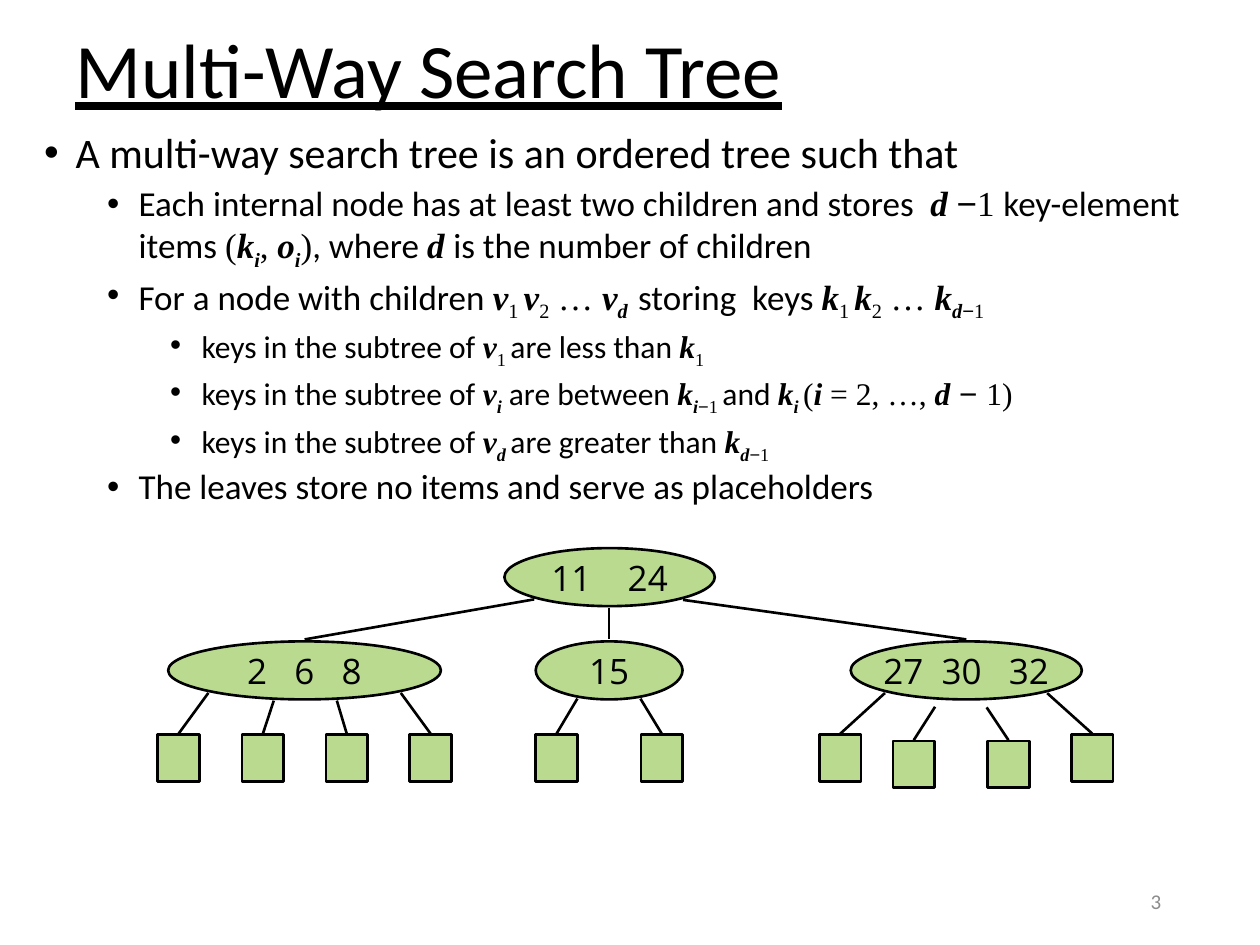
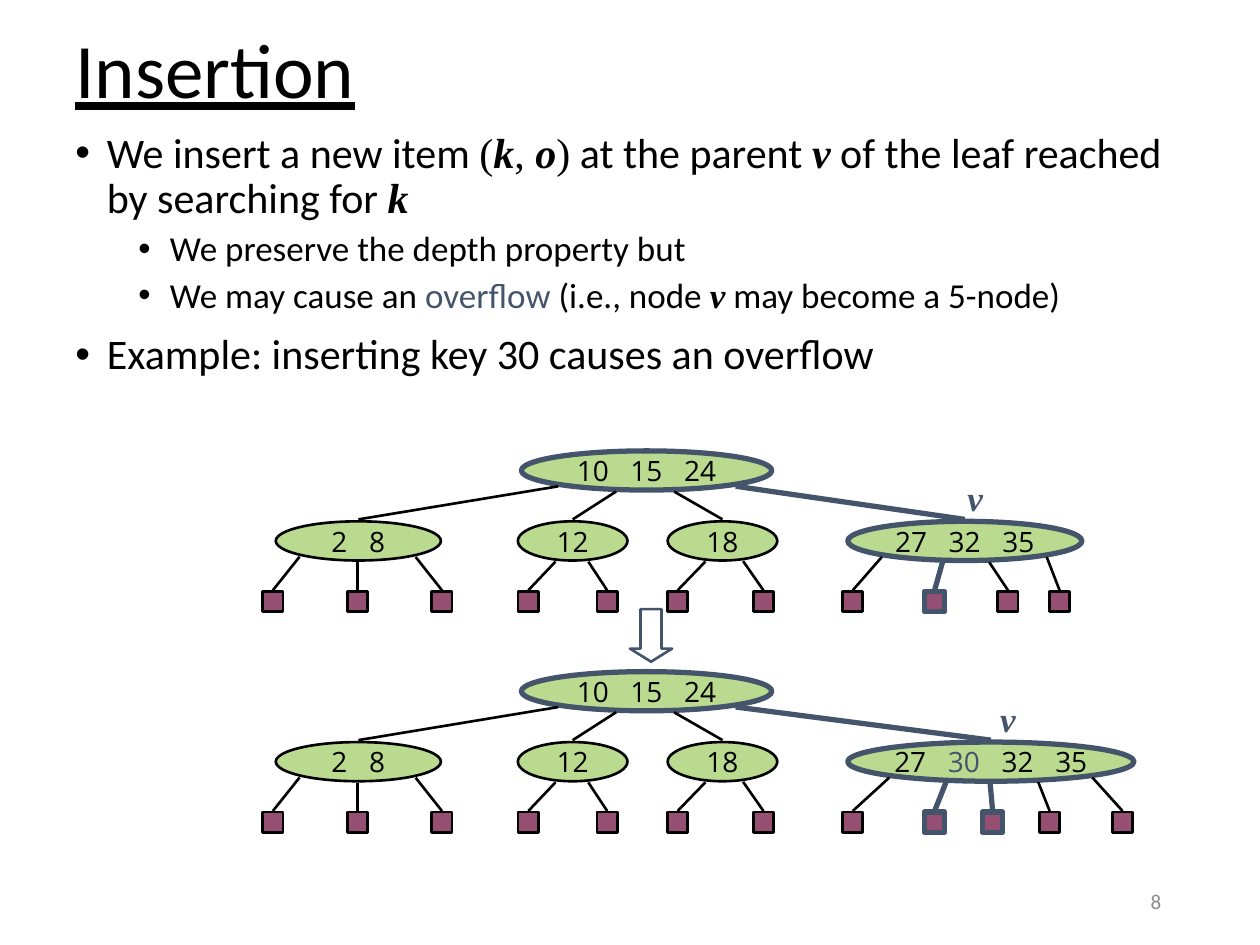
from collections import namedtuple
from math import sqrt

from pptx import Presentation
from pptx import util as u
from pptx.dml import color
from pptx.enum import shapes, text
from pptx.oxml import ns, xmlchemy

BLACK, SLATE, GREY = "000000", "44546A", "8C8C8C"
GREEN, PLUM = "B9DA8F", "954F72"
BODY_FONT, MATH_FONT, KEY_FONT = "Calibri", "Times New Roman", "Open Sans"
BODY_SIZES = (24, 20, 18)
LINK_GAP = 0.04

Node = namedtuple("Node", "keys left width leaves marked label_left", defaults=(False, None))
Leaf = namedtuple("Leaf", "centre exit marked drop", defaults=(False, 0))
Root = namedtuple("Root", "keys left width exits marked", defaults=(False,))
Style = namedtuple("Style", "oval_height level_drop leaf_top leaf_width leaf_height key_size leaf_fill")

LARGE = Style(1.17, 1.88, 3.76, 0.84, 0.94, 20, GREEN)
SMALL = Style(0.79, 1.42, 2.83, 0.41, 0.41, 16, PLUM)

SEARCH_POINTS = [
    (0, "A multi-way search tree is an ordered tree such that"),
    (1, "Each internal node has at least two children and stores  {v:d }{a:−}{t:1 }key-element items "
        "{t:(}{v:k}{v_:i}{t:, }{v:o}{v_:i}{t:)}, where {v:d }is the number of children"),
    (1, "For a node with children {v:v}{t_:1 }{v:v}{t_:2}{t: … }{v:v}{v_:d  }storing  keys "
        "{v:k}{t_:1 }{v:k}{t_:2}{t: … }{v:k}{v_:d}{a_:−}{t_:1}"),
    (2, "keys in the subtree of {v:v}{t_:1 }are less than {v:k}{t_:1}"),
    (2, "keys in the subtree of {v:v}{v_:i} are between {v:k}{v_:i}{a_:−}{t_:1 }and "
        "{v:k}{v_:i }{t:(}{v:i}{t: = 2, …, }{v:d}{a: − }{t:1)}"),
    (2, "keys in the subtree of {v:v}{v_:d }are greater than {v:k}{v_:d}{a_:−}{t_:1}"),
    (1, "The leaves store no items and serve as placeholders"),
]
SEARCH_ROOT = Root("11    24", 6.99, 4.24, (7.59, 9.1, 10.59))
SEARCH_NODES = [
    Node("2   6   8", 0.21, 5.5,
         [Leaf(0.42, 1.02), Leaf(2.12, 2.34), Leaf(3.81, 3.61), Leaf(5.5, 4.9)]),
    Node("15", 7.62, 2.96, [Leaf(8.04, 8.46), Leaf(10.16, 9.73)]),
    Node("27  30   32", 13.97, 4.66,
         [Leaf(13.76, 14.66), Leaf(15.24, 15.67, drop=0.13),
          Leaf(17.15, 16.71, drop=0.13), Leaf(18.84, 17.93)]),
]

INSERTION_POINTS = [
    (0, "We insert a new item {t:(}{v:k}{t:, }{v:o}{t:)} at the parent {v:v}"
        " of the leaf reached by searching for {v:k}"),
    (1, "We preserve the depth property but"),
    (1, "We may cause an {h:overflow} (i.e., node {v:v} may become a 5-node)"),
    (0, "Example: inserting key 30 causes an overflow"),
]
INSERTION_ROOT = Root("10   15   24", 5.23, 5.05, (5.97, 7.14, 8.31, 9.55), True)
UNCHANGED_NODES = [
    Node("2   8", 0.28, 3.33, [Leaf(0.22, 0.76), Leaf(1.93, 1.93), Leaf(3.63, 3.1)]),
    Node("12", 5.16, 2.21, [Leaf(5.37, 5.92), Leaf(6.96, 6.58)]),
    Node("18", 8.18, 2.21, [Leaf(8.38, 8.94), Leaf(10.11, 9.7)]),
]
NODE_BEFORE = Node("27   32   35", 11.81, 4.72,
                   [Leaf(11.91, 12.5), Leaf(13.56, 13.72, True), Leaf(15.04, 14.66),
                    Leaf(16.08, 15.82)], True, 13.97)
NODE_AFTER = Node("27   {h:30}   32   35", 11.81, 5.77,
                  [Leaf(11.91, 12.65), Leaf(13.56, 13.79, True), Leaf(14.73, 14.68, True),
                   Leaf(15.88, 15.65), Leaf(17.35, 16.74)], True, 14.63)


def rgb(hex_code):
    """Turn a hex string into a colour."""
    return color.RGBColor.from_string(hex_code)


def cm(*lengths):
    """Turn several centimetre values into lengths."""
    return [u.Cm(length) for length in lengths]


def add_child(parent, tag, **attributes):
    """Append an XML element with the given attributes."""
    child = xmlchemy.OxmlElement(tag)
    for key, setting in attributes.items():
        child.set(key, setting)
    parent.append(child)


def write_runs(paragraph, markup, size, font=BODY_FONT, ink=BLACK):
    """Write plain text and {style:text} pieces as formatted runs."""
    for index, piece in enumerate(markup.replace("}", "{").split("{")):
        style, _, words = piece.partition(":") if index % 2 else ("", "", piece)
        if not words:
            continue
        run = paragraph.add_run()
        run.text = words
        run.font.size = u.Pt(size)
        run.font.name = {"v": MATH_FONT, "t": MATH_FONT, "a": "Arial"}.get(style[:1], font)
        run.font.color.rgb = rgb(SLATE if style == "h" else ink)
        if style.startswith("v"):
            run.font.bold = run.font.italic = True
        if style.endswith("_"):
            run._r.get_or_add_rPr().set("baseline", "-25000")


def add_text(parent, box, markup, size, align, ink=BLACK, wrap=True,
             anchor=text.MSO_ANCHOR.MIDDLE):
    """Add a one-paragraph text box and return its paragraph."""
    frame = parent.add_textbox(*cm(*box)).text_frame
    frame.word_wrap = wrap
    frame.vertical_anchor = anchor
    paragraph = frame.paragraphs[0]
    paragraph.alignment = align
    write_runs(paragraph, markup, size, ink=ink)
    return paragraph


def add_points(slide, box, points):
    """Add the bulleted body text."""
    frame = slide.shapes.add_textbox(*cm(*box)).text_frame
    frame.word_wrap = True
    for index, (level, markup) in enumerate(points):
        paragraph = frame.add_paragraph() if index else frame.paragraphs[0]
        paragraph.level = level
        paragraph.line_spacing = 0.9
        paragraph.space_before = u.Pt(5 if level else 10)
        properties = paragraph._p.get_or_add_pPr()
        properties.set("marL", str(u.Cm(0.635 + 1.27 * level)))
        properties.set("indent", str(u.Cm(-0.635)))
        add_child(properties, "a:buFont", typeface="Arial")
        add_child(properties, "a:buChar", char="•")
        write_runs(paragraph, markup, BODY_SIZES[level])


def add_page(deck, title, number, body_box, points):
    """Add a slide with its title, bullets and page number."""
    slide = deck.slides.add_slide(deck.slide_layouts[6])
    heading = add_text(slide.shapes, (1.27, 0.42, 22.86, 2.12), title, 44, text.PP_ALIGN.LEFT)
    heading.line_spacing = 0.9
    heading.runs[0].font.underline = True
    add_points(slide, body_box, points)
    add_text(slide.shapes, (17.94, 17.66, 5.72, 1.01), number, 12, text.PP_ALIGN.RIGHT, GREY)
    return slide


def outline(line, marked):
    """Draw a line thick and slate when marked, else thin and black."""
    line.color.rgb = rgb(SLATE if marked else BLACK)
    line.width = u.Pt(3 if marked else 1.5)


def add_solid(parent, kind, box, fill, marked):
    """Add a preset shape, unfilled when fill is None."""
    solid = parent.add_shape(kind, *cm(*box))
    solid.shadow.inherit = False
    if fill:
        solid.fill.solid()
        solid.fill.fore_color.rgb = rgb(fill)
    else:
        solid.fill.background()
    outline(solid.line, marked)
    return solid


def add_link(parent, start, end, marked):
    """Add a straight line between two points."""
    link = parent.add_connector(shapes.MSO_CONNECTOR.STRAIGHT, *cm(*start, *end))
    outline(link.line, marked)
    add_child(link._element.find(ns.qn("p:spPr")), "a:effectLst")


def add_oval(parent, box, keys, size, marked):
    """Add a tree node holding its keys."""
    oval = add_solid(parent, shapes.MSO_SHAPE.OVAL, box, GREEN, marked)
    frame = oval.text_frame
    frame.word_wrap = False
    frame.vertical_anchor = text.MSO_ANCHOR.MIDDLE
    frame.paragraphs[0].alignment = text.PP_ALIGN.CENTER
    write_runs(frame.paragraphs[0], keys, size, KEY_FONT)


def exit_point(box, x):
    """Find the point just under the lower rim of an oval at x."""
    left, top, width, height = box
    offset = (x - left - width / 2) / (width / 2)
    return x, top + height / 2 * (1 + sqrt(1 - offset ** 2)) + LINK_GAP


def add_tree(slide, left, top, style, root, nodes):
    """Draw a three-level tree from its top left corner."""
    tree = slide.shapes.add_group_shape().shapes
    root_box = (left + root.left, top, root.width, style.oval_height)
    add_oval(tree, root_box, root.keys, style.key_size, root.marked)
    for node, root_exit in zip(nodes, root.exits):
        box = (left + node.left, top + style.level_drop, node.width, style.oval_height)
        add_oval(tree, box, node.keys, style.key_size, node.marked)
        add_link(tree, exit_point(root_box, left + root_exit),
                 (box[0] + node.width / 2, box[1] - LINK_GAP), node.marked)
        for leaf in node.leaves:
            centre, leaf_top = left + leaf.centre, top + style.leaf_top + leaf.drop
            leaf_box = (centre - style.leaf_width / 2, leaf_top, style.leaf_width, style.leaf_height)
            add_solid(tree, shapes.MSO_SHAPE.RECTANGLE, leaf_box, style.leaf_fill, leaf.marked)
            x, y = exit_point(box, left + leaf.exit)
            add_link(tree, (x, y + leaf.drop), (centre, leaf_top - LINK_GAP / 2), leaf.marked)
        if node.label_left is not None:
            add_text(tree, (left + node.label_left, top + 0.4, 0.81, 1.09), "{v:v}", 20,
                     text.PP_ALIGN.CENTER, SLATE, False, text.MSO_ANCHOR.TOP)


def search_tree_slide(deck):
    """Build the slide that defines the multi-way search tree."""
    slide = add_page(deck, "Multi-Way Search Tree", "3", (0.64, 2.54, 24.13, 7.83), SEARCH_POINTS)
    add_tree(slide, 3.18, 11.05, LARGE, SEARCH_ROOT, SEARCH_NODES)


def insertion_slide(deck):
    """Build the slide that shows a tree before and after an insertion."""
    slide = add_page(deck, "Insertion", "8", (1.27, 2.54, 22.86, 6.77), INSERTION_POINTS)
    arrow = add_solid(slide.shapes, shapes.MSO_SHAPE.DOWN_ARROW, (12.7, 12.28, 0.85, 1.06), None, True)
    arrow.line.width = u.Pt(1.5)
    arrow.adjustments[1] = 0.31
    for top, node in ((9.09, NODE_BEFORE), (13.54, NODE_AFTER)):
        add_tree(slide, 5.28, top, SMALL, INSERTION_ROOT, UNCHANGED_NODES + [node])


def main():
    """Build and save the deck."""
    deck = Presentation()
    deck.slide_width, deck.slide_height = cm(25.4, 19.05)
    search_tree_slide(deck)
    insertion_slide(deck)
    deck.save("out.pptx")


if __name__ == "__main__":
    main()
